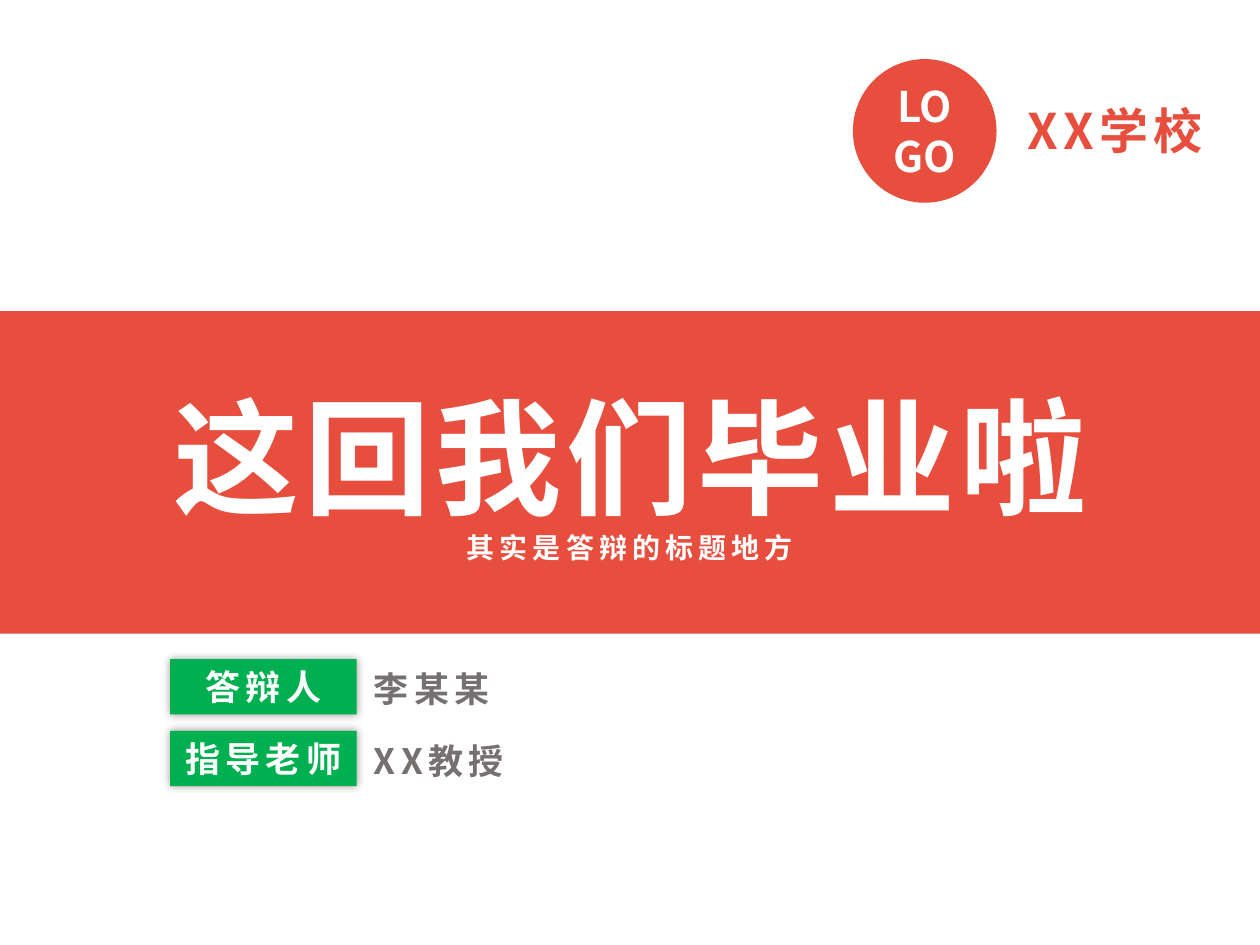
from lxml import etree
from pptx import Presentation
from pptx import util as u
from pptx.dml import color
from pptx.enum import shapes, text
from pptx.oxml import ns

Pt = u.Pt
HUES = {"red": "E74E3E", "green": "00B050", "gray": "767171",
        "white": "FFFFFF", "black": "000000"}
FONT = "Noto Sans CJK SC"
MID = text.PP_ALIGN.CENTER
LEFT = text.PP_ALIGN.LEFT


def tint(name):
    return color.RGBColor.from_string(HUES[name])


def write(frame, lines, hue, align=LEFT, track=3, anchor=text.MSO_ANCHOR.TOP):
    frame.word_wrap = True
    frame.auto_size = text.MSO_AUTO_SIZE.NONE
    frame.vertical_anchor = anchor
    for i, (words, size) in enumerate(lines):
        para = frame.add_paragraph() if i else frame.paragraphs[0]
        para.text = words
        para.alignment = align
        para.line_spacing = Pt(1.2 * size)
        font = para.font
        font.size, font.bold, font.name = Pt(size), True, FONT
        font.color.rgb = tint(hue)
        props = para._p.pPr.find(ns.qn("a:defRPr"))
        props.set("spc", str(track * 100))
        props.find(ns.qn("a:latin")).addnext(
            etree.Element(ns.qn("a:ea"), typeface=FONT))


def block(slide, kind, box, hue):
    shape = slide.shapes.add_shape(kind, *map(Pt, box))
    shape.shadow.inherit = False
    shape.fill.solid()
    shape.fill.fore_color.rgb = tint(hue)
    shape.line.fill.background()
    return shape


def label(slide, box, words, size, hue):
    shape = slide.shapes.add_textbox(*map(Pt, box))
    write(shape.text_frame, [(words, size)], hue)


def glow(shape, blur, alpha):
    effects = shape._element.spPr.find(ns.qn("a:effectLst"))
    shadow = etree.SubElement(effects, ns.qn("a:outerShdw"),
                              blurRad=str(Pt(blur)), dist="0", dir="0",
                              algn="ctr", rotWithShape="0")
    shade = etree.SubElement(shadow, ns.qn("a:srgbClr"), val=HUES["black"])
    etree.SubElement(shade, ns.qn("a:alpha"), val=str(alpha * 1000))


def school(slide, box):
    x, y, w, h = box
    badge = block(slide, shapes.MSO_SHAPE.OVAL, (x, y, h, h), "red")
    write(badge.text_frame, [("LOGO", 24)], "white", MID, 0,
          text.MSO_ANCHOR.MIDDLE)
    label(slide, (x + 92.9, y + 20.2, w - 92.9, 41), "XX学校", 28, "red")


def banner(slide, box):
    x, y, w, h = box
    band = block(slide, shapes.MSO_SHAPE.RECTANGLE, box, "red")
    title = slide.shapes.title
    title._element.addprevious(band._element)
    wide = 553
    title.left, title.top = Pt(x + (w - wide) / 2), Pt(y + 35.3)
    title.width, title.height = Pt(wide), Pt(113.8)
    write(title.text_frame,
          [("这回我们毕业啦", 72), ("其实是答辩的标题地方", 16)], "white", MID)


def people(slide, box, rows):
    x, y, w, h = box
    tag, high = 106.6, 31.7
    step = (h - high) / (len(rows) - 1)
    for i, (role, name) in enumerate(rows):
        top = y + i * step
        shape = block(slide, shapes.MSO_SHAPE.RECTANGLE,
                      (x, top, tag, high), "green")
        glow(shape, 5, 40)
        write(shape.text_frame, [(role, 20)], "white", MID,
              anchor=text.MSO_ANCHOR.MIDDLE)
        shape.text_frame.margin_left = shape.text_frame.margin_right = Pt(3)
        label(slide, (x + 109.4, top + 1.4, w - 109.4, high), name, 20, "gray")


def main():
    deck = Presentation()
    deck.slide_width, deck.slide_height = Pt(720), Pt(540)
    slide = deck.slides.add_slide(deck.slide_layouts[5])
    school(slide, (487.4, 33.8, 220.3, 82.1))
    banner(slide, (0, 177.8, 720, 184.3))
    people(slide, (97.2, 376.6, 236.9, 72.7),
           [("答辩人", "李某某"), ("指导老师", "XX教授")])
    deck.save("out.pptx")


if __name__ == "__main__":
    main()
